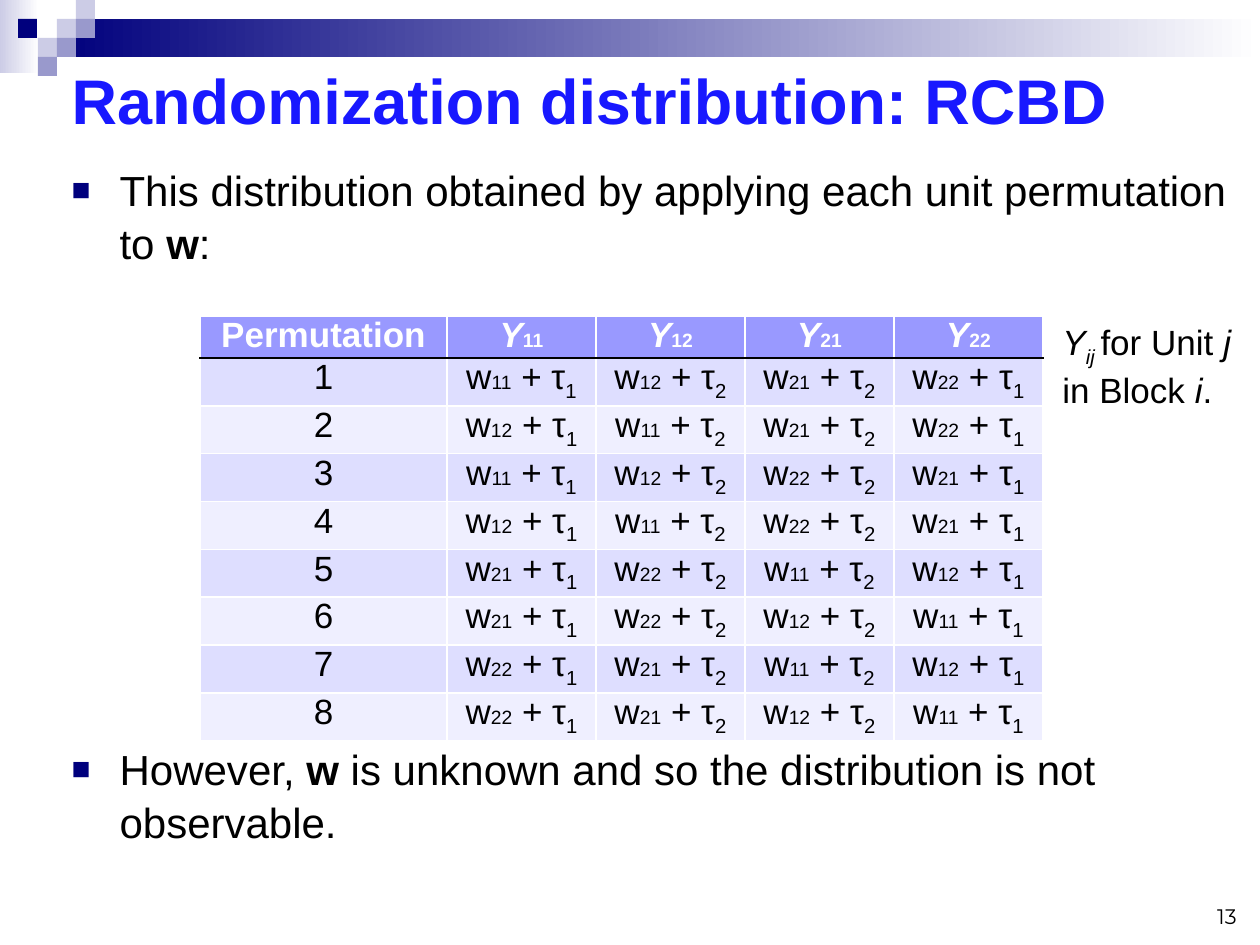
import pptx
import pptx.util
import pptx.dml.color
import pptx.enum.shapes
import pptx.enum.text
import pptx.oxml
import pptx.oxml.ns

RGB = pptx.dml.color.RGBColor
ALIGN = pptx.enum.text.PP_ALIGN
ANCHOR = pptx.enum.text.MSO_ANCHOR
AUTO = pptx.enum.text.MSO_AUTO_SIZE

NAVY = RGB(0x00, 0x00, 0x7D)
LAVENDER = RGB(0xCC, 0xCC, 0xE6)
PURPLE = RGB(0x99, 0x99, 0xCC)
BLUE = RGB(0x18, 0x18, 0xFF)
HEADER = RGB(0x99, 0x99, 0xFF)
BAND_DARK = RGB(0xDE, 0xDE, 0xFF)
BAND_LIGHT = RGB(0xEF, 0xEF, 0xFF)
WHITE = RGB(0xFF, 0xFF, 0xFF)
BLACK = RGB(0x00, 0x00, 0x00)

ORDERS = [
    "11 12 21 22", "12 11 21 22", "11 12 22 21", "12 11 22 21",
    "21 22 11 12", "21 22 12 11", "22 21 11 12", "22 21 12 11",
]
TREATMENTS = "1221"


def px(n):
    return pptx.util.Emu(round(n * 914400 / 126))


def xml(tag, body="", attrs=""):
    ns = pptx.oxml.ns.nsdecls("a")
    return pptx.oxml.parse_xml(f"<a:{tag} {ns} {attrs}>{body}</a:{tag}>")


class Deck:
    """Hold the text style and the current slide, and add each kind of element."""

    def __init__(self, font="Arial"):
        self.font = font
        self.prs = pptx.Presentation()
        self.prs.slide_width, self.prs.slide_height = px(1260), px(945)
        self.slide = self.prs.slides.add_slide(self.prs.slide_layouts[3])

    def add_runs(self, p, parts, size, color=BLACK, font=None):
        for text, style in parts:
            r = p.add_run()
            r.text = text
            r.font.name = font or self.font
            r.font.size = pptx.util.Pt(11 if "s" in style else size)
            r.font.color.rgb = color
            r.font.bold = "b" in style
            r.font.italic = "i" in style
            if "_" in style:
                r._r.get_or_add_rPr().set("baseline", "-25000")

    def place(self, s, x, y, w, h):
        s.left, s.top, s.width, s.height = map(px, (x, y, w, h))

    def rect(self, x, y, w, h, color, fade=False):
        kind = pptx.enum.shapes.MSO_SHAPE.RECTANGLE
        s = self.slide.shapes.add_shape(kind, *map(px, (x, y, w, h)))
        s.shadow.inherit = False
        s.line.fill.background()
        if not fade:
            s.fill.solid()
            s.fill.fore_color.rgb = color
            return
        s.fill.gradient()
        s.fill.gradient_angle = 0
        for stop, c in zip(s.fill.gradient_stops, (color, WHITE)):
            stop.color.rgb = c

    def title(self, text, *box):
        s = self.slide.shapes.title
        self.place(s, *box)
        tf = s.text_frame
        tf.auto_size = AUTO.NONE
        tf.vertical_anchor = ANCHOR.MIDDLE
        p = tf.paragraphs[0]
        p.alignment = ALIGN.LEFT
        self.add_runs(p, [(text, "b")], 36, BLUE)

    def bullet(self, index, parts, *box):
        s = self.slide.placeholders[index]
        self.place(s, *box)
        s.text_frame.auto_size = AUTO.NONE
        p = s.text_frame.paragraphs[0]
        p.line_spacing = 1.05
        pPr = p._p.get_or_add_pPr()
        pPr.set("marL", str(int(px(48))))
        pPr.set("indent", str(-int(px(48))))
        pPr.append(xml("buClr", f'<a:srgbClr val="{NAVY}"/>'))
        pPr.append(xml("buSzPct", attrs='val="75000"'))
        pPr.append(xml("buFont", attrs=f'typeface="{self.font}"'))
        pPr.append(xml("buChar", attrs='char="■"'))
        self.add_runs(p, parts, 24)

    def text(self, parts, size, *box, font=None, align=ALIGN.LEFT, anchor=ANCHOR.TOP):
        s = self.slide.shapes.add_textbox(*map(px, box))
        tf = s.text_frame
        tf.word_wrap = True
        tf.vertical_anchor = anchor
        p = tf.paragraphs[0]
        p.alignment = align
        self.add_runs(p, parts, size, font=font)

    def cell(self, cell, parts, fill, color, top, bottom):
        cell.margin_left = cell.margin_right = px(5)
        cell.margin_top = cell.margin_bottom = 0
        tcPr = cell._tc.get_or_add_tcPr()
        for side, c in zip("LRTB", (WHITE, WHITE, top, bottom)):
            line = f'<a:solidFill><a:srgbClr val="{c}"/></a:solidFill>'
            tcPr.append(xml(f"ln{side}", line, 'w="12700"'))
        cell.fill.solid()
        cell.fill.fore_color.rgb = fill
        p = cell.text_frame.paragraphs[0]
        p.alignment = ALIGN.CENTER
        self.add_runs(p, parts, 20, color)

    def table(self, rows, x, y, widths, heights):
        box = map(px, (x, y, sum(widths), sum(heights)))
        table = self.slide.shapes.add_table(len(rows), len(widths), *box).table
        for col, w in zip(table.columns, widths):
            col.width = px(w)
        for i, (row, h) in enumerate(zip(rows, heights)):
            table.rows[i].height = px(h)
            fill = HEADER if i == 0 else BAND_DARK if i % 2 else BAND_LIGHT
            color = BLACK if i else WHITE
            top = BLACK if i == 1 else WHITE
            bottom = WHITE if i else BLACK
            for j, parts in enumerate(row):
                self.cell(table.cell(i, j), parts, fill, color, top, bottom)


def permutation_rows():
    rows = [[[("Permutation", "b")]]
            + [[("Y", "bi"), (unit, "bs")] for unit in ORDERS[0].split()]]
    for n, order in enumerate(ORDERS, 1):
        rows.append([[(str(n), "")]] + [
            [("w", ""), (unit, "s"), (" + τ", ""), (t, "_")]
            for unit, t in zip(order.split(), TREATMENTS)])
    return rows


def main():
    deck = Deck()
    deck.rect(0, 0, 39, 73, LAVENDER, fade=True)
    deck.rect(57, 19, 1203, 38, NAVY, fade=True)
    squares = [(57, 19, LAVENDER), (76, 0, LAVENDER), (76, 19, PURPLE),
               (38, 38, LAVENDER), (18, 19, NAVY), (57, 38, PURPLE), (38, 57, PURPLE)]
    for x, y, color in squares:
        deck.rect(x, y, 19, 19, color)

    deck.title("Randomization distribution: RCBD", 59, 49, 1191, 100)
    deck.bullet(1, [("This distribution obtained by applying each unit permutation to ", ""),
                    ("w", "b"), (":", "")], 59, 156, 1201, 121)
    deck.text([("13", "")], 12, 955, 872, 294, 63,
              font="Montserrat", align=ALIGN.RIGHT, anchor=ANCHOR.BOTTOM)
    deck.table(permutation_rows(), 200, 316, [247] + [149] * 4, [39] + [44] * 8)
    deck.text([("Y", "i"), ("ij ", "i_"), ("for Unit ", ""), ("j ", "i"),
               ("in Block ", ""), ("i", "i"), (".", "")], 20, 1050, 314, 200, 97)
    deck.bullet(2, [("However, ", ""), ("w", "b"),
                    (" is unknown and so the distribution is not observable.", "")],
                59, 735, 1201, 121)
    deck.prs.save("out.pptx")


if __name__ == "__main__":
    main()
